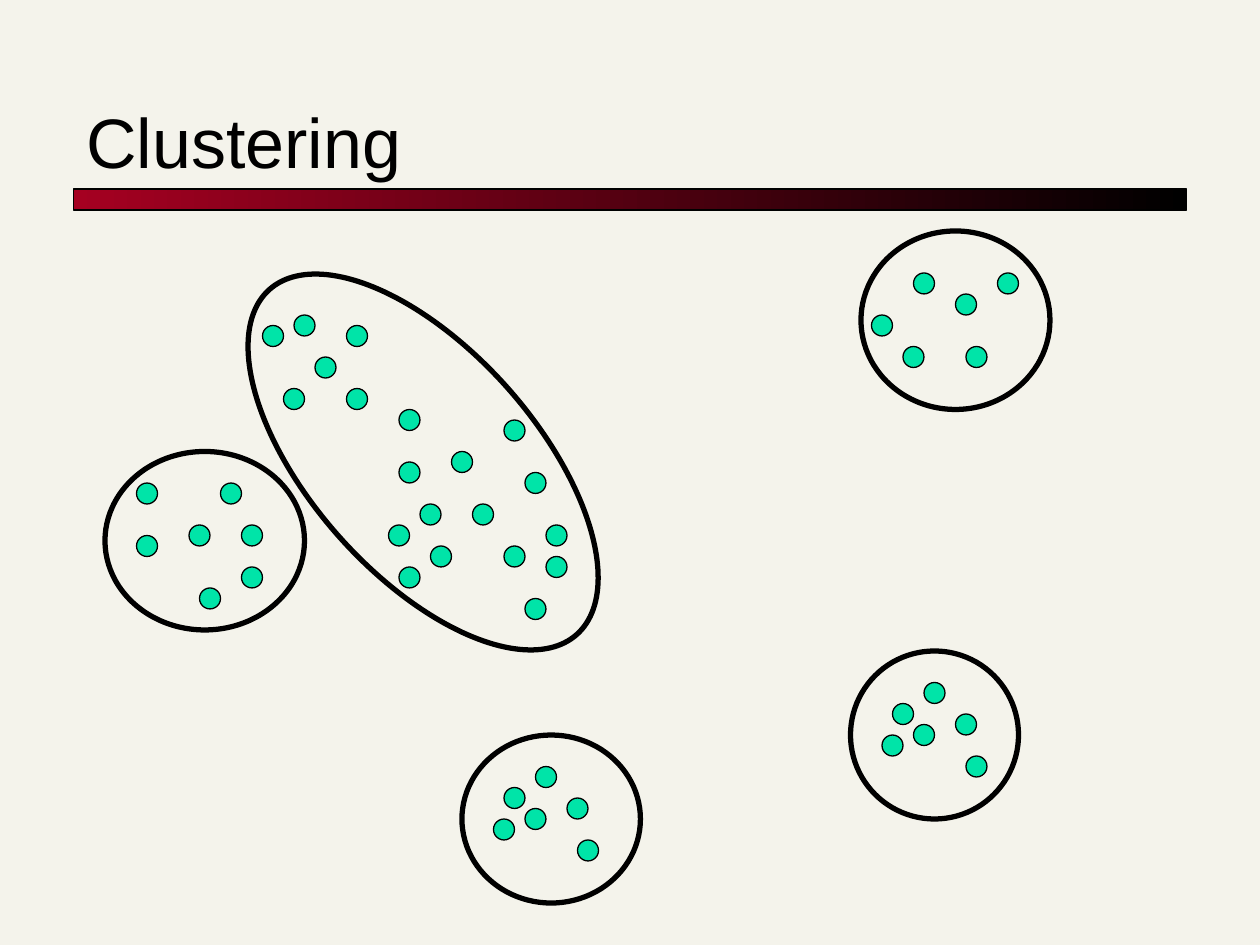
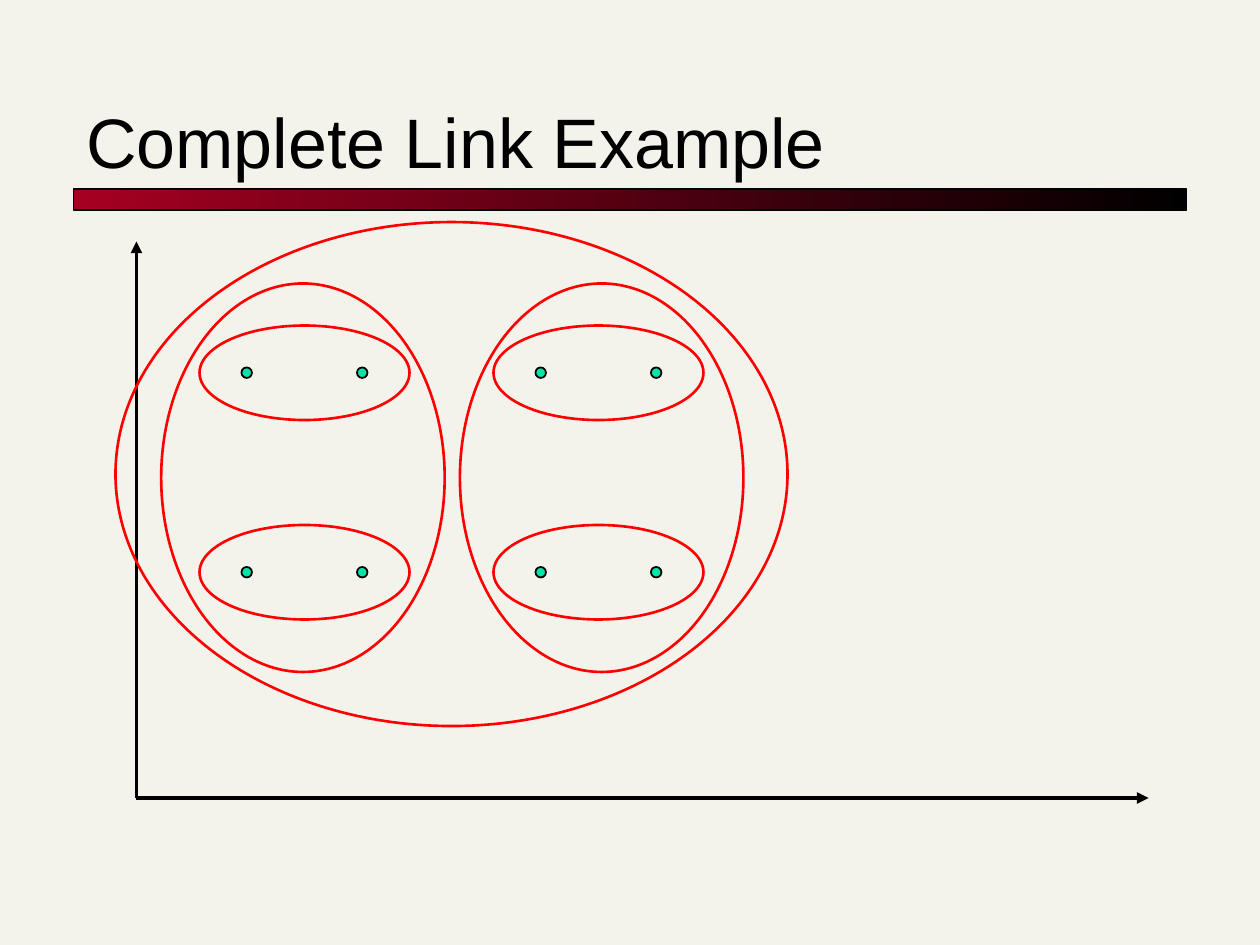
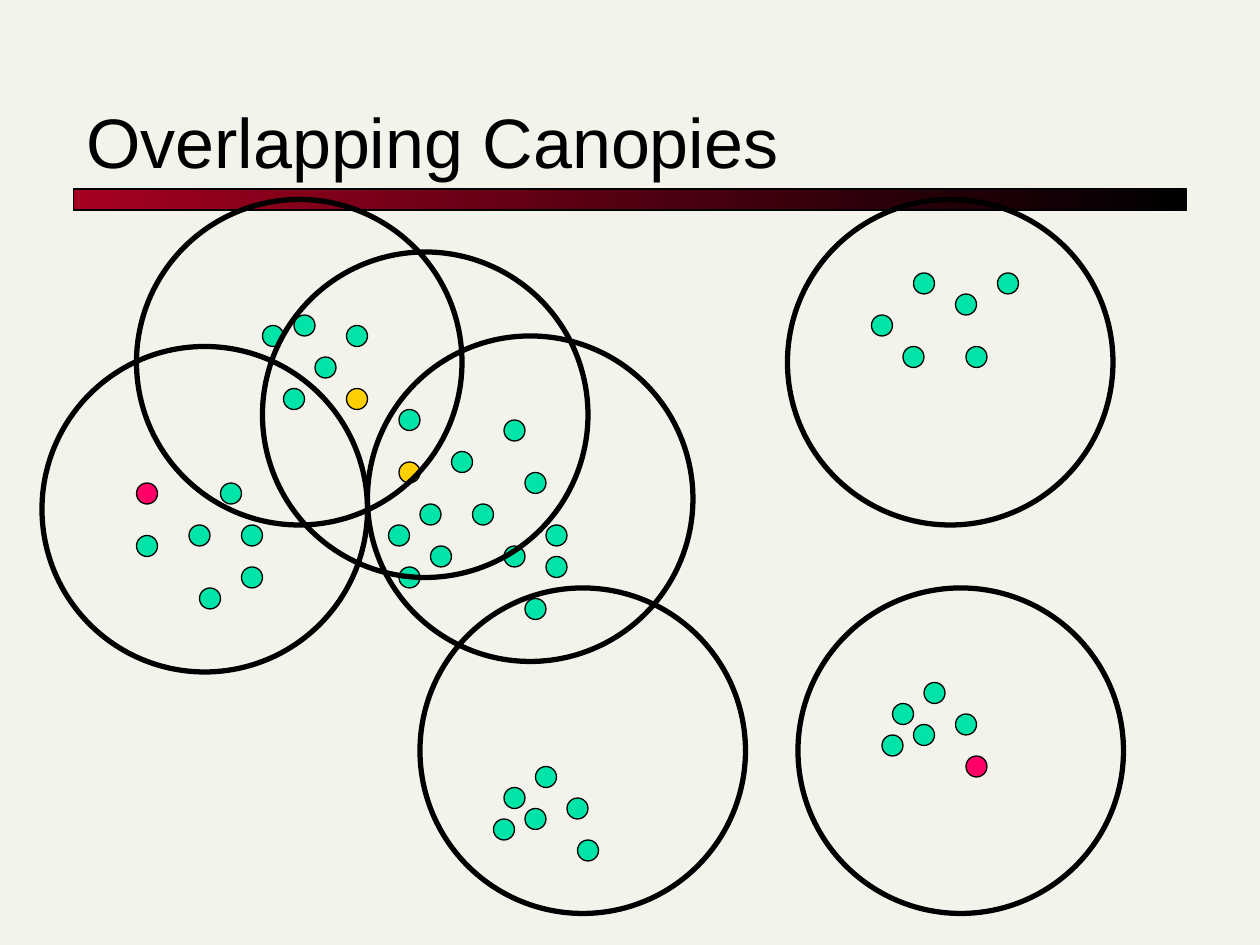
from itertools import product
from typing import Any, NamedTuple, Optional

from lxml.etree import SubElement
from pptx import Presentation
from pptx.dml.color import RGBColor
from pptx.enum.shapes import MSO_CONNECTOR, MSO_SHAPE
from pptx.enum.text import MSO_ANCHOR, MSO_AUTO_SIZE, PP_ALIGN
from pptx.oxml.ns import qn
from pptx.util import Emu, Inches, Pt

COLUMNS, ROWS = 120, 90
SLIDE_WIDTH, SLIDE_HEIGHT = Inches(10), Inches(7.5)
TITLE_ONLY = 5

PAPER = RGBColor(0xF4, 0xF3, 0xEB)
BLACK = RGBColor(0x00, 0x00, 0x00)
CRIMSON = RGBColor(0xA5, 0x00, 0x21)
GREEN = RGBColor(0x00, 0xE4, 0xA8)
YELLOW = RGBColor(0xFF, 0xCF, 0x01)
PINK = RGBColor(0xFF, 0x00, 0x66)
RED = RGBColor(0xFF, 0x00, 0x00)

FRAME_FORMAT = {"vertical_anchor": MSO_ANCHOR.BOTTOM, "word_wrap": True,
                "auto_size": MSO_AUTO_SIZE.NONE}
FONT_FORMAT = {"name": "Arial", "size": Pt(40)}


class Box(NamedTuple):
    """A place on the grid, in columns and rows."""
    left: float
    top: float
    width: float
    height: float
    rotation: float = 0


class Pen(NamedTuple):
    color: RGBColor
    points: float


TITLE_BOX = Box(7, 5, 106, 13)
BAND_BOX = Box(7, 18, 106, 2)
THIN, DOT_EDGE, AXIS = Pen(BLACK, 0.75), Pen(BLACK, 1), Pen(BLACK, 2.25)
THICK, RED_RING = Pen(BLACK, 3), Pen(RED, 1.5)

DATA_POINTS = [
    # upper left
    (25, 31), (28, 30), (33, 31), (30, 34), (27, 37), (33, 37),
    # far left
    (13, 46), (21, 46), (18, 50), (13, 51), (19, 56), (23, 50), (23, 54),
    # middle
    (37, 50), (40, 48), (41, 52), (38, 54), (38, 44), (43, 43), (50, 57),
    (45, 48), (48, 52), (50, 45), (52, 53), (48, 40), (52, 50), (38, 39),
    # upper right
    (87, 26), (91, 28), (86, 33), (83, 30), (95, 26), (92, 33),
    # lower right
    (84, 70), (85, 67), (87, 69), (92, 72), (91, 68), (88, 65),
    # bottom
    (47, 78), (48, 75), (50, 77), (55, 80), (54, 76), (51, 73),
]
CLUSTERS = [Box(81, 62, 16, 16), Box(82, 22, 18, 17), Box(44, 70, 17, 16),
            Box(10, 43, 19, 17), Box(29.6, 22, 21.4, 44, 318.3)]
CANOPY_SIZE = 31
CANOPY_CORNERS = [(35, 32), (25, 24), (13, 19), (4, 33), (40, 56), (76, 56), (75, 19)]
CANOPY_MARKS = {(33, 37): YELLOW, (38, 44): YELLOW, (13, 46): PINK, (92, 72): PINK}


def across(columns: float) -> Emu:
    return Emu(round(SLIDE_WIDTH * columns / COLUMNS))


def down(rows: float) -> Emu:
    return Emu(round(SLIDE_HEIGHT * rows / ROWS))


def place(box: Box) -> tuple[Emu, Emu, Emu, Emu]:
    return across(box.left), down(box.top), across(box.width), down(box.height)


def apply_format(target: Any, values: dict[str, Any]) -> None:
    for name, value in values.items():
        setattr(target, name, value)


def set_line(shape: Any, pen: Pen) -> None:
    shape.line.color.rgb = pen.color
    shape.line.width = Pt(pen.points)


def add_titled_slide(presentation: Any, title: str) -> Any:
    slide = presentation.slides.add_slide(presentation.slide_layouts[TITLE_ONLY])
    band = slide.shapes.add_shape(MSO_SHAPE.RECTANGLE, *place(BAND_BOX))
    band.shadow.inherit = False
    band.fill.gradient()
    band.fill.gradient_angle = 0
    for stop, color in zip(band.fill.gradient_stops, (CRIMSON, BLACK)):
        stop.color.rgb = color
    set_line(band, THIN)

    heading = slide.shapes.title
    heading.left, heading.top, heading.width, heading.height = place(TITLE_BOX)
    heading.text_frame.text = title
    apply_format(heading.text_frame, FRAME_FORMAT)
    paragraph = heading.text_frame.paragraphs[0]
    paragraph.alignment = PP_ALIGN.LEFT
    font = paragraph.runs[0].font
    apply_format(font, FONT_FORMAT)
    font.color.rgb = BLACK
    return slide


def add_ellipse(slide: Any, box: Box, pen: Pen, fill: Optional[RGBColor] = None) -> None:
    ellipse = slide.shapes.add_shape(MSO_SHAPE.OVAL, *place(box))
    ellipse.shadow.inherit = False
    ellipse.rotation = box.rotation
    if fill is None:
        ellipse.fill.background()
    else:
        ellipse.fill.solid()
        ellipse.fill.fore_color.rgb = fill
    set_line(ellipse, pen)


def add_data_points(slide: Any, marks: dict[tuple[int, int], RGBColor]) -> None:
    for point in DATA_POINTS:
        add_ellipse(slide, Box(*point, 2, 2), THIN, marks.get(point, GREEN))


def add_axes(slide: Any) -> None:
    axes = slide.shapes.add_group_shape()
    for end_column, end_row in ((13, 23), (109.4, 76)):
        axis = axes.shapes.add_connector(MSO_CONNECTOR.STRAIGHT, across(13), down(76),
                                         across(end_column), down(end_row))
        set_line(axis, AXIS)
        SubElement(axis.line._get_or_add_ln(), qn("a:tailEnd"), type="triangle")
        SubElement(axis._element.spPr, qn("a:effectLst"))


def build_clustering(presentation: Any) -> None:
    slide = add_titled_slide(presentation, "Clustering")
    add_data_points(slide, {})
    for cluster in CLUSTERS:
        add_ellipse(slide, cluster, THICK)


def build_complete_link(presentation: Any) -> None:
    slide = add_titled_slide(presentation, "Complete Link Example")
    add_axes(slide)
    for column, row in product((23, 34, 51, 62), (35, 54)):
        add_ellipse(slide, Box(column, row, 1, 1), DOT_EDGE, GREEN)
    pairs = [Box(column, row, 20, 9) for column, row in product((19, 47), (31, 50))]
    halves = [Box(column, 27, 27, 37) for column in (15.35, 43.8)]
    whole = Box(11, 21.15, 64, 48)
    for ring in (*pairs, *halves, whole):
        add_ellipse(slide, ring, RED_RING)


def build_canopies(presentation: Any) -> None:
    slide = add_titled_slide(presentation, "Overlapping Canopies")
    add_data_points(slide, CANOPY_MARKS)
    for corner in CANOPY_CORNERS:
        add_ellipse(slide, Box(*corner, CANOPY_SIZE, CANOPY_SIZE), THICK)


def main() -> None:
    presentation = Presentation()
    apply_format(presentation, {"slide_width": SLIDE_WIDTH, "slide_height": SLIDE_HEIGHT})
    background = presentation.slide_master.background.fill
    background.solid()
    background.fore_color.rgb = PAPER
    for build in (build_clustering, build_complete_link, build_canopies):
        build(presentation)
    presentation.save("out.pptx")


if __name__ == "__main__":
    main()
